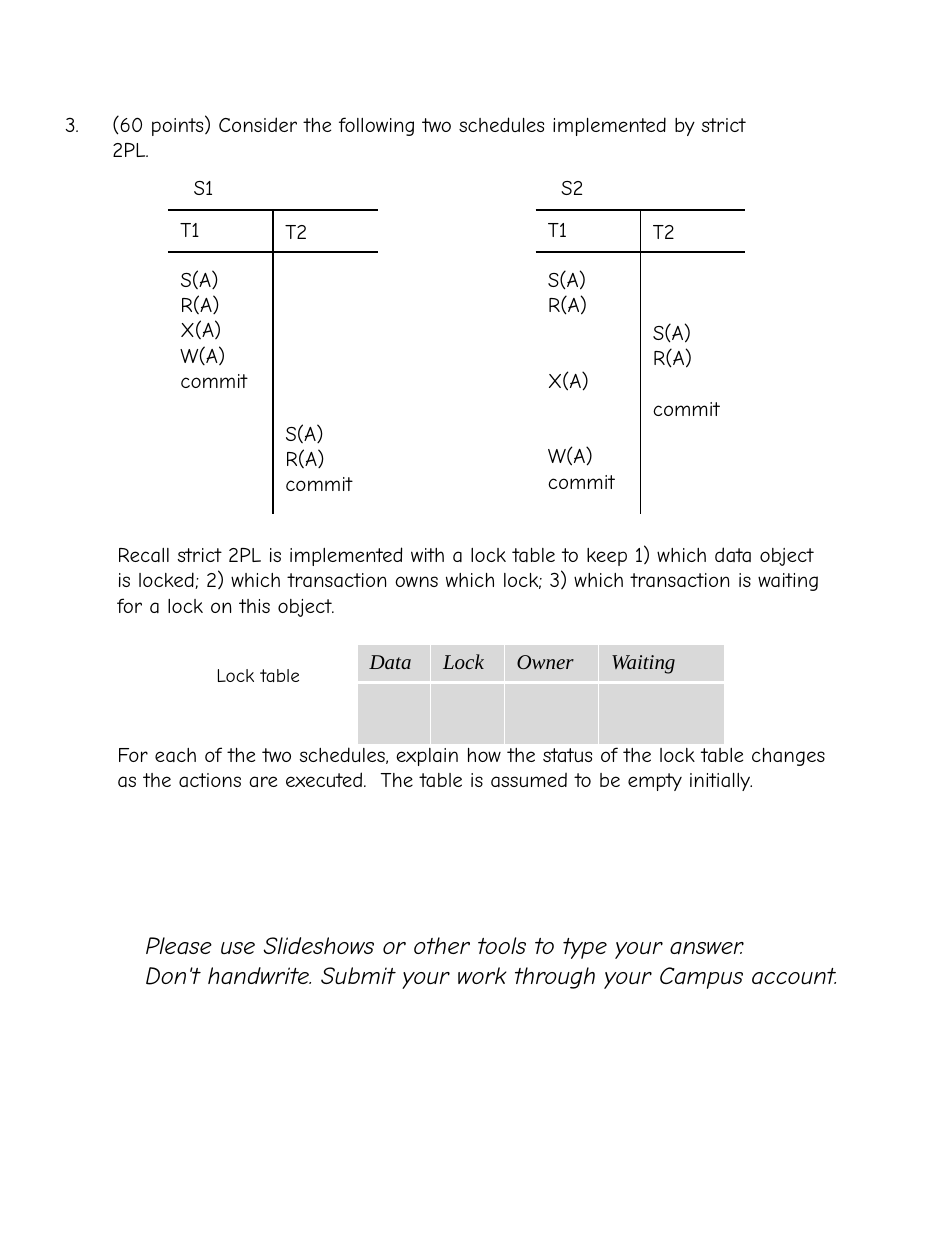
import pptx
import pptx.util
import pptx.dml.color
import pptx.enum.shapes
import pptx.enum.text
import pptx.oxml
import pptx.oxml.ns
from lxml import etree

Pt = pptx.util.Pt

COLORS = {"ink": "000000", "cell": "D9D9D9", "rule": "FFFFFF"}
FONT = "Comic Neue"
LINE_PITCH = 14.4

QUESTION = "(60 points) Consider the following two schedules implemented by strict 2PL."
QUESTION_NUMBER = 3
RECALL = (
    "Recall strict 2PL is implemented with a lock table to keep 1) which data object "
    "is locked; 2) which transaction owns which lock; 3) which transaction is waiting "
    "for a lock on this object."
)
TASK = (
    "For each of the two schedules, explain how the status of the lock table changes "
    "as the actions are executed.  The table is assumed to be empty initially."
)
INSTRUCTIONS = [
    "Please use Slideshows or other tools to type your answer.",
    "Don't handwrite. Submit your work through your Campus account.",
]
SCHEDULES = [
    {
        "name": "S1",
        "left": 96,
        "T1": [(1, "S(A)"), (0, "R(A)"), (0, "X(A)"), (0, "W(A)"), (0, "commit")],
        "T2": [(7, "S(A)"), (0, "R(A)"), (0, "commit")],
    },
    {
        "name": "S2",
        "left": 306,
        "T1": [(1, "S(A)"), (0, "R(A)"), (2, "X(A)"), (2, "W(A)"), (0, "commit")],
        "T2": [(3, "S(A)"), (0, "R(A)"), (1, "commit")],
    },
]
LOCK_COLUMNS = [("Data", 42), ("Lock", 42), ("Owner", 54), ("Waiting", 72)]
LOCK_ROWS = [21.6, 35.4]

SCHEDULE_TOP, HEADER_BOTTOM, SCHEDULE_BOTTOM = 120, 144, 294
COLUMN_WIDTH = 60


def rgb(name):
    return pptx.dml.color.RGBColor.from_string(COLORS[name])


def write(frame, text, gaps=None, size=12, font=FONT, italic=False):
    lines = [text] if isinstance(text, str) else text
    frame.word_wrap = True
    for index, line in enumerate(lines):
        para = frame.paragraphs[0] if index == 0 else frame.add_paragraph()
        para.alignment = pptx.enum.text.PP_ALIGN.LEFT
        para.space_before = Pt(gaps[index] * LINE_PITCH if gaps else 0)
        span = para.add_run()
        span.text = line
        span.font.size = Pt(size)
        span.font.name = font
        span.font.italic = italic
        span.font.color.rgb = rgb("ink")


def add_text(page, text, left, top, width, height, **style):
    box = page.shapes.add_textbox(Pt(left), Pt(top), Pt(width), Pt(height))
    write(box.text_frame, text, **style)


def add_line(page, x1, y1, x2, y2):
    line = page.shapes.add_connector(
        pptx.enum.shapes.MSO_CONNECTOR.STRAIGHT, Pt(x1), Pt(y1), Pt(x2), Pt(y2)
    )
    line.line.color.rgb = rgb("ink")
    line.line.width = Pt(0.75)
    etree.SubElement(line._element.spPr, pptx.oxml.ns.qn("a:effectLst"))


def add_question(page):
    title = page.shapes.title
    title.left, title.top, title.width, title.height = Pt(30), Pt(60), Pt(420), Pt(36)
    frame = title.text_frame
    write(frame, QUESTION)
    frame.vertical_anchor = pptx.enum.text.MSO_ANCHOR.TOP
    frame.auto_size = pptx.enum.text.MSO_AUTO_SIZE.NONE
    props = frame.paragraphs[0]._p.get_or_add_pPr()
    props.set("marL", str(Pt(27)))
    props.set("indent", str(-Pt(27)))
    number = etree.SubElement(props, pptx.oxml.ns.qn("a:buAutoNum"))
    number.set("type", "arabicPeriod")
    number.set("startAt", str(QUESTION_NUMBER))


def add_schedule(page, schedule):
    left = schedule["left"]
    middle, right = left + COLUMN_WIDTH, left + 2 * COLUMN_WIDTH
    for y in (HEADER_BOTTOM, SCHEDULE_TOP):
        add_line(page, left, y, right, y)
    add_line(page, middle, SCHEDULE_TOP, middle, SCHEDULE_BOTTOM)
    for key, x, top in (("T1", left, SCHEDULE_TOP), ("T2", middle, SCHEDULE_TOP + 1.5)):
        gaps, actions = zip(*[(0, key)] + schedule[key])
        height = (len(actions) + sum(gaps)) * LINE_PITCH + 7.2
        add_text(page, actions, x, top, COLUMN_WIDTH, height, gaps=gaps)
    add_text(page, schedule["name"], left + 7.5, 96, 32, 21.6)


def set_borders(cell, **widths):
    props = cell._tc.get_or_add_tcPr()
    for side in "LRTB":
        props.append(pptx.oxml.parse_xml(
            f'<a:ln{side} {pptx.oxml.ns.nsdecls("a")} w="{Pt(widths.get(side, 0.45))}">'
            f'<a:solidFill><a:srgbClr val="{COLORS["rule"]}"/></a:solidFill></a:ln{side}>'
        ))


def add_lock_table(page):
    width = sum(size for _, size in LOCK_COLUMNS)
    table = page.shapes.add_table(
        len(LOCK_ROWS), len(LOCK_COLUMNS), Pt(204), Pt(368.3), Pt(width), Pt(sum(LOCK_ROWS))
    ).table
    table.first_row = table.horz_banding = False
    for row, height in zip(table.rows, LOCK_ROWS):
        row.height = Pt(height)
    for index, (name, size) in enumerate(LOCK_COLUMNS):
        table.columns[index].width = Pt(size)
        header, empty = table.cell(0, index), table.cell(1, index)
        write(header.text_frame, name, font="Times New Roman", italic=True)
        set_borders(header, B=1.47)
        set_borders(empty, T=1.47)
        for cell in (header, empty):
            cell.fill.solid()
            cell.fill.fore_color.rgb = rgb("cell")


def main():
    deck = pptx.Presentation()
    deck.slide_width, deck.slide_height = Pt(540), Pt(720)
    page = deck.slides.add_slide(deck.slide_layouts[5])
    add_question(page)
    for schedule in SCHEDULES:
        add_schedule(page, schedule)
    add_text(page, RECALL, 60, 306, 420, 50.4)
    add_lock_table(page)
    add_text(page, "Lock table", 116.5, 375.3, 68, 21, size=11)
    add_text(page, TASK, 60, 420, 420, 50.4)
    add_text(page, INSTRUCTIONS, 76, 528, 425, 57.6, size=14, italic=True)
    deck.save("out.pptx")


if __name__ == "__main__":
    main()
